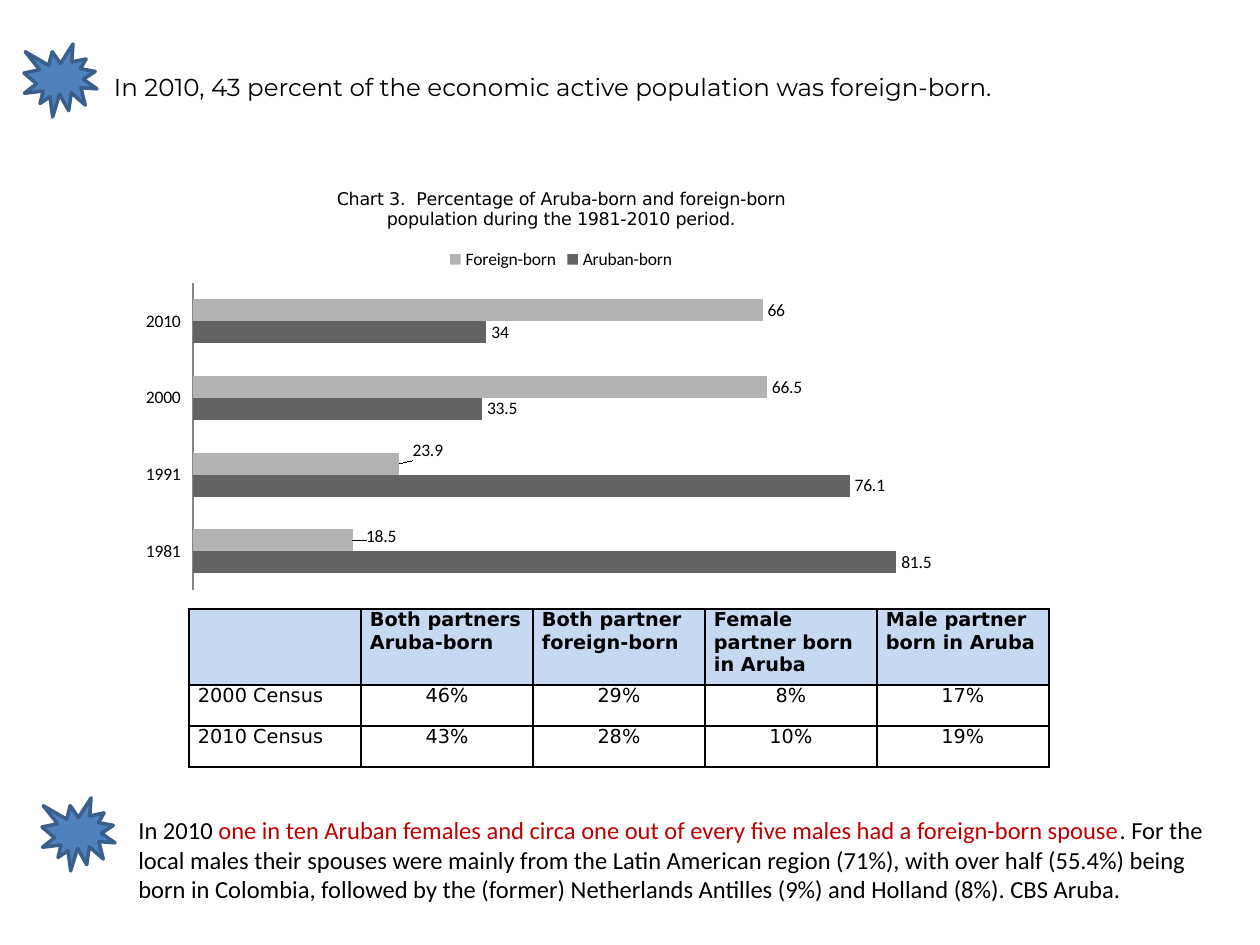
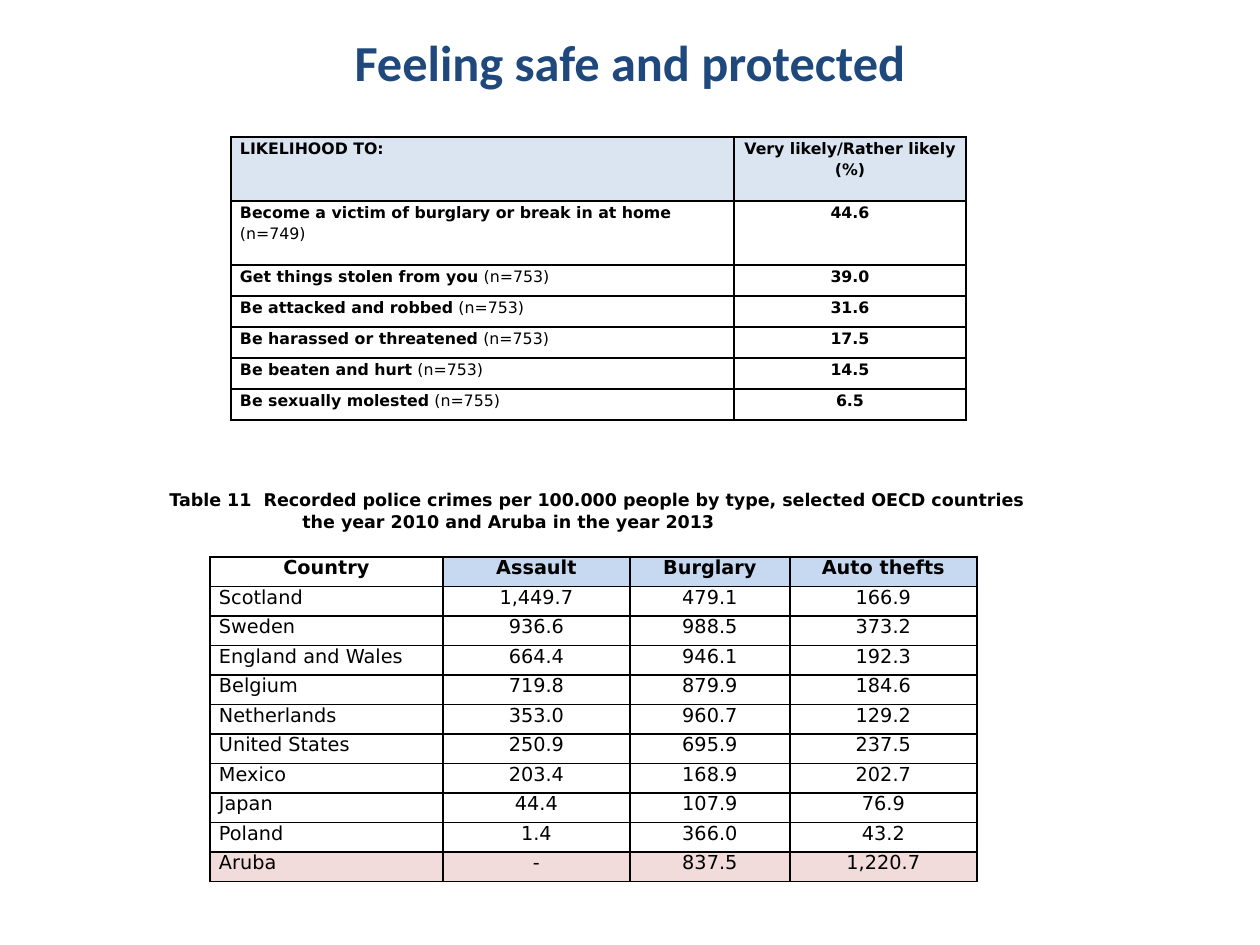
from lxml.etree import SubElement
from pptx import Presentation
from pptx.chart.data import CategoryChartData
from pptx.dml.color import RGBColor
from pptx.enum.chart import XL_CHART_TYPE, XL_LABEL_POSITION, XL_LEGEND_POSITION, XL_TICK_LABEL_POSITION, XL_TICK_MARK
from pptx.enum.shapes import MSO_SHAPE
from pptx.enum.text import MSO_ANCHOR, MSO_AUTO_SIZE, PP_ALIGN
from pptx.oxml import parse_xml
from pptx.oxml.ns import nsdecls, qn
from pptx.util import Emu, Pt

PX = 914400 // 126
BLACK = RGBColor(0x00, 0x00, 0x00)
WHITE = RGBColor(0xFF, 0xFF, 0xFF)
NAVY = RGBColor(0x1F, 0x49, 0x7D)
RED = RGBColor(0xC0, 0x00, 0x00)
SEAL_BLUE = RGBColor(0x4F, 0x81, 0xBD)
SEAL_EDGE = RGBColor(0x3A, 0x5F, 0x8C)
HEADER_BLUE = RGBColor(0xC6, 0xD9, 0xF1)
PALE_BLUE = RGBColor(0xDB, 0xE5, 0xF1)
PALE_RED = RGBColor(0xF2, 0xDB, 0xDB)
DARK_GRAY = RGBColor(0x63, 0x63, 0x63)
LIGHT_GRAY = RGBColor(0xB3, 0xB3, 0xB3)
AXIS_GRAY = RGBColor(0x86, 0x86, 0x86)

BODY = {"name": "Calibri", "size": Pt(14), "bold": False}
HEADING = {"name": "Calibri", "size": Pt(28.8), "bold": True}
STATEMENT = {"name": "Montserrat", "size": Pt(14), "bold": False}
CHART_TEXT = {"name": "Calibri", "size": Pt(10), "bold": False}
CHART_TITLE = {"name": "DejaVu Sans", "size": Pt(10), "bold": False}
CAPTION = {**CHART_TITLE, "bold": True}
TABLE_TEXT = {"name": "DejaVu Sans", "size": Pt(11), "bold": False}
TABLE_BOLD = {**TABLE_TEXT, "bold": True}
SMALL_TEXT = {**TABLE_TEXT, "size": Pt(9)}
SMALL_BOLD = {**SMALL_TEXT, "bold": True}

BIRTHPLACE_SERIES = [
    ("Aruban-born", (81.5, 76.1, 33.5, 34), DARK_GRAY),
    ("Foreign-born", (18.5, 23.9, 66.5, 66), LIGHT_GRAY),
]
LABEL_SHIFTS = [(0.01, -0.01), (0.01, -0.03)]
PARTNERS = [
    ("", "Both partners Aruba-born", "Both partner foreign-born",
     "Female partner born in Aruba", "Male partner born in Aruba"),
    ("2000 Census", "46%", "29%", "8%", "17%"),
    ("2010 Census", "43%", "28%", "10%", "19%"),
]
LIKELIHOODS = [
    ("Become a victim of burglary or break in at home", 749, "44.6"),
    ("Get things stolen from you", 753, "39.0"),
    ("Be attacked and robbed", 753, "31.6"),
    ("Be harassed or threatened", 753, "17.5"),
    ("Be beaten and hurt", 753, "14.5"),
    ("Be sexually molested", 755, "6.5"),
]
CRIMES = [
    ("Country", "Assault", "Burglary", "Auto thefts"),
    ("Scotland", "1,449.7", "479.1", "166.9"),
    ("Sweden", "936.6", "988.5", "373.2"),
    ("England and Wales", "664.4", "946.1", "192.3"),
    ("Belgium", "719.8", "879.9", "184.6"),
    ("Netherlands", "353.0", "960.7", "129.2"),
    ("United States", "250.9", "695.9", "237.5"),
    ("Mexico", "203.4", "168.9", "202.7"),
    ("Japan", "44.4", "107.9", "76.9"),
    ("Poland", "1.4", "366.0", "43.2"),
    ("Aruba", "-", "837.5", "1,220.7"),
]


def px(length):
    """Turn px into EMU."""
    return Emu(round(length * PX))


def px_all(lengths):
    """Turn several px lengths into EMU."""
    return [px(length) for length in lengths]


def apply(target, values):
    """Set each attribute of the target from a dict."""
    for name, value in values.items():
        setattr(target, name, value)


def style_font(font, values, color=BLACK):
    """Format a font and give it a colour."""
    apply(font, values)
    font.color.rgb = color


def write(para, spans, align=PP_ALIGN.LEFT, spacing=None):
    """Fill a paragraph with (text, format, colour) spans."""
    apply(para, {"alignment": align, "line_spacing": spacing})
    for text, values, color in spans:
        span = para.add_run()
        span.text = text
        style_font(span.font, values, color)


def add_title(page, text, place, values, color, align, indent=13):
    """Move and fill the title placeholder."""
    title = page.shapes.title
    apply(title, dict(zip(("left", "top", "width", "height"), px_all(place))))
    apply(title.text_frame, {"word_wrap": True, "auto_size": MSO_AUTO_SIZE.NONE,
                             "vertical_anchor": MSO_ANCHOR.MIDDLE, "margin_left": px(indent)})
    write(title.text_frame.paragraphs[0], [(text, values, color)], align)


def add_text(page, place, lines, anchor=MSO_ANCHOR.TOP):
    """Add a wrapped text box of (indent, spans) lines."""
    frame = page.shapes.add_textbox(*px_all(place)).text_frame
    apply(frame, {"word_wrap": True, "vertical_anchor": anchor})
    for number, (indent, spans) in enumerate(lines):
        para = frame.add_paragraph() if number else frame.paragraphs[0]
        write(para, spans)
        if indent:
            para._p.get_or_add_pPr().set("marL", str(px(indent)))


def add_seal(page, left, top):
    """Add a star burst marker."""
    seal = page.shapes.add_shape(MSO_SHAPE.EXPLOSION1, *px_all((left, top, 73, 73)))
    seal.shadow.inherit = False
    seal.fill.solid()
    seal.fill.fore_color.rgb = SEAL_BLUE
    seal.line.color.rgb = SEAL_EDGE
    seal.line.width = Pt(2)


def add_borders(cell):
    """Draw a thin black line on all sides of a cell."""
    properties = cell._tc.get_or_add_tcPr()
    for side in ("a:lnL", "a:lnR", "a:lnT", "a:lnB"):
        line = SubElement(properties, qn(side), w=str(Pt(1)))
        fill = SubElement(line, qn("a:solidFill"))
        SubElement(fill, qn("a:srgbClr"), val=str(BLACK))


def add_grid(page, place, widths, heights, rows, spacing=None):
    """Add a table from rows of (spans, align, fill) cells."""
    size = (sum(widths), sum(heights))
    table = page.shapes.add_table(len(rows), len(widths), *px_all(place + size)).table
    apply(table, {"first_row": False, "horz_banding": False})
    for column, width in zip(table.columns, widths):
        column.width = px(width)
    for row, height, contents in zip(table.rows, heights, rows):
        row.height = px(height)
        for cell, (spans, align, fill) in zip(row.cells, contents):
            apply(cell, {"margin_left": px(9), "margin_right": px(9), "margin_top": 0, "margin_bottom": 0})
            add_borders(cell)
            write(cell.text_frame.paragraphs[0], spans, align, spacing)
            if fill is None:
                cell.fill.background()
            else:
                cell.fill.solid()
                cell.fill.fore_color.rgb = fill


def make_cell(text, values, align=PP_ALIGN.CENTER, fill=None):
    """Describe a cell with one span of black text."""
    return ([(text, values, BLACK)] if text else [], align, fill)


def make_row(texts, fill=None):
    """Describe a row with a left label and centred values."""
    aligns = [PP_ALIGN.LEFT] + [PP_ALIGN.CENTER] * (len(texts) - 1)
    return [make_cell(text, TABLE_TEXT, align, fill) for text, align in zip(texts, aligns)]


def make_layout(target="", **values):
    """Build a manual chart layout."""
    inner = f'<c:layoutTarget val="{target}"/><c:xMode val="edge"/><c:yMode val="edge"/>' if target else ""
    inner += "".join(f'<c:{name} val="{value}"/>' for name, value in values.items())
    return parse_xml(f'<c:layout {nsdecls("c")}><c:manualLayout>{inner}</c:manualLayout></c:layout>')


def style_series(series, color):
    """Colour a series and show its values."""
    series.format.fill.solid()
    series.format.fill.fore_color.rgb = color
    apply(series.data_labels, {"show_value": True, "position": XL_LABEL_POSITION.OUTSIDE_END})
    style_font(series.data_labels.font, CHART_TEXT)


def shift_labels(series, shifts):
    """Move the first labels of a series by parts of the chart size."""
    for number, (across, down) in enumerate(shifts):
        series.points[number].data_label.position = XL_LABEL_POSITION.OUTSIDE_END
    for label, (across, down) in zip(series._element.iter(qn("c:dLbl")), shifts):
        label.find(qn("c:idx")).addnext(make_layout(x=across, y=down))


def add_birthplace_chart(page):
    """Add the bar chart of the population by birthplace."""
    data = CategoryChartData()
    data.categories = ["1981", "1991", "2000", "2010"]
    for name, values, color in BIRTHPLACE_SERIES:
        data.add_series(name, values)
    place = px_all((136, 168, 850, 431))
    chart = page.shapes.add_chart(XL_CHART_TYPE.BAR_CLUSTERED, *place, data).chart
    style_font(chart.font, CHART_TEXT)
    frame = chart.chart_title.text_frame
    write(frame.paragraphs[0], [("Chart 3.  Percentage of Aruba-born and foreign-born", CHART_TITLE, BLACK)],
          PP_ALIGN.CENTER)
    write(frame.add_paragraph(), [("population during the 1981-2010 period.", CHART_TITLE, BLACK)],
          PP_ALIGN.CENTER)
    chart.has_legend = True
    apply(chart.legend, {"position": XL_LEGEND_POSITION.TOP, "include_in_layout": False})
    style_font(chart.legend.font, CHART_TEXT)
    apply(chart.value_axis, {"visible": False, "has_major_gridlines": False,
                             "minimum_scale": 0, "maximum_scale": 90})
    apply(chart.category_axis, {"major_tick_mark": XL_TICK_MARK.NONE,
                                "tick_label_position": XL_TICK_LABEL_POSITION.LOW})
    chart.category_axis.format.line.color.rgb = AXIS_GRAY
    plot = chart.plots[0]
    apply(plot, {"gap_width": 150, "overlap": 0, "vary_by_categories": False})
    for series, (name, values, color) in zip(plot.series, BIRTHPLACE_SERIES):
        style_series(series, color)
    shift_labels(plot.series[1], LABEL_SHIFTS)
    area = chart._chartSpace.chart.plotArea
    for layout in area.findall(qn("c:layout")):
        area.remove(layout)
    area.insert(0, make_layout("inner", x=0.067, y=0.267, w=0.914, h=0.712))


def add_population_page(deck):
    """Build the page on foreign-born people and spouses."""
    page = deck.slides.add_slide(deck.slide_layouts[5])
    add_title(page, "In 2010, 43 percent of the economic active population was foreign-born.",
              (63, 38, 1134, 98), STATEMENT, BLACK, PP_ALIGN.LEFT, 51)
    add_birthplace_chart(page)
    header = [make_cell(text, TABLE_BOLD, PP_ALIGN.LEFT, HEADER_BLUE) for text in PARTNERS[0]]
    rows = [header] + [make_row(texts) for texts in PARTNERS[1:]]
    add_grid(page, (189, 609), [172] * 5, [76, 41, 41], rows)
    add_seal(page, 24, 44)
    add_text(page, (126, 809, 1102, 102), [(0, [
        ("In 2010 ", BODY, BLACK),
        ("one in ten Aruban females and circa one out of every five males had a foreign-born spouse", BODY, RED),
        (". For the local males their spouses were mainly from the Latin American region (71%), with over half "
         "(55.4%) being born in Colombia, followed by the (former) Netherlands Antilles (9%) and Holland (8%). "
         "CBS Aruba.", BODY, BLACK),
    ])])
    add_seal(page, 42, 798)


def add_safety_page(deck):
    """Build the page on safety and recorded crimes."""
    page = deck.slides.add_slide(deck.slide_layouts[5])
    add_title(page, "Feeling safe and protected", (63, 38, 1134, 47), HEADING, NAVY, PP_ALIGN.CENTER)
    rows = [[make_cell("LIKELIHOOD TO:", SMALL_BOLD, PP_ALIGN.LEFT, PALE_BLUE),
             make_cell("Very likely/Rather likely (%)", SMALL_BOLD, fill=PALE_BLUE)]]
    for event, count, percent in LIKELIHOODS:
        spans = [(f"{event} ", SMALL_BOLD, BLACK), (f"(n={count})", SMALL_TEXT, BLACK)]
        rows.append([(spans, PP_ALIGN.LEFT, None), make_cell(percent, SMALL_BOLD)])
    add_grid(page, (231, 137), [503, 232], [64] * 2 + [31] * 5, rows, 1.15)
    header = [make_cell(text, TABLE_BOLD, fill=HEADER_BLUE if number else None)
              for number, text in enumerate(CRIMES[0])]
    rows = [header] + [make_row(texts) for texts in CRIMES[1:-1]] + [make_row(CRIMES[-1], PALE_RED)]
    add_grid(page, (210, 557), [233, 187, 160, 187], [325 / len(rows)] * len(rows), rows)
    add_text(page, (157, 483, 892, 55), [
        (0, [("Table 11  Recorded police crimes per 100.000 people by type, selected OECD countries",
              CAPTION, BLACK)]),
        (133, [("the year 2010 and Aruba in the year 2013", CAPTION, BLACK)]),
    ], MSO_ANCHOR.MIDDLE)


def main():
    """Build and save the deck."""
    deck = Presentation()
    apply(deck, {"slide_width": px(1260), "slide_height": px(945)})
    background = deck.slide_master.background.fill
    background.solid()
    background.fore_color.rgb = WHITE
    add_population_page(deck)
    add_safety_page(deck)
    deck.save("out.pptx")


if __name__ == "__main__":
    main()
